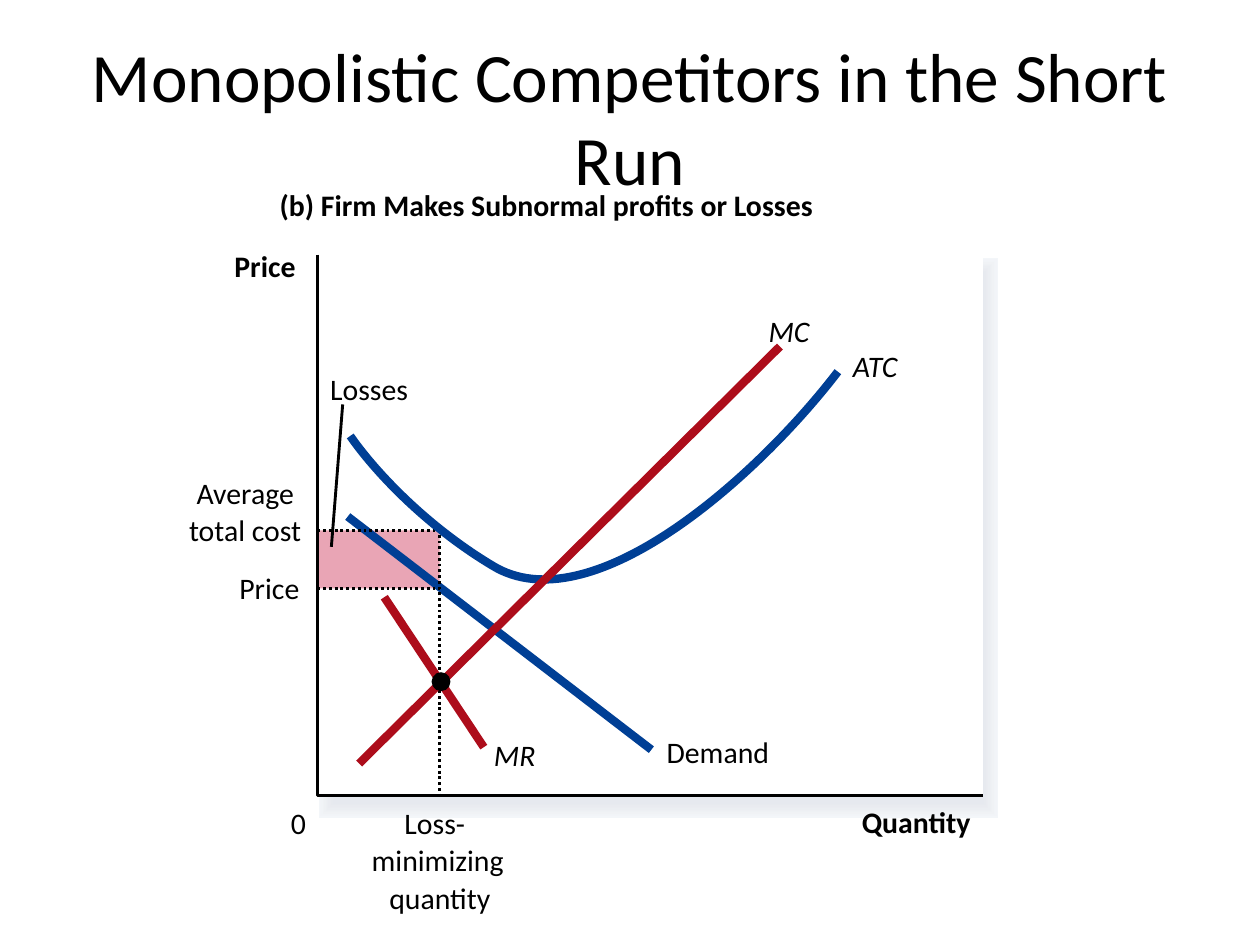
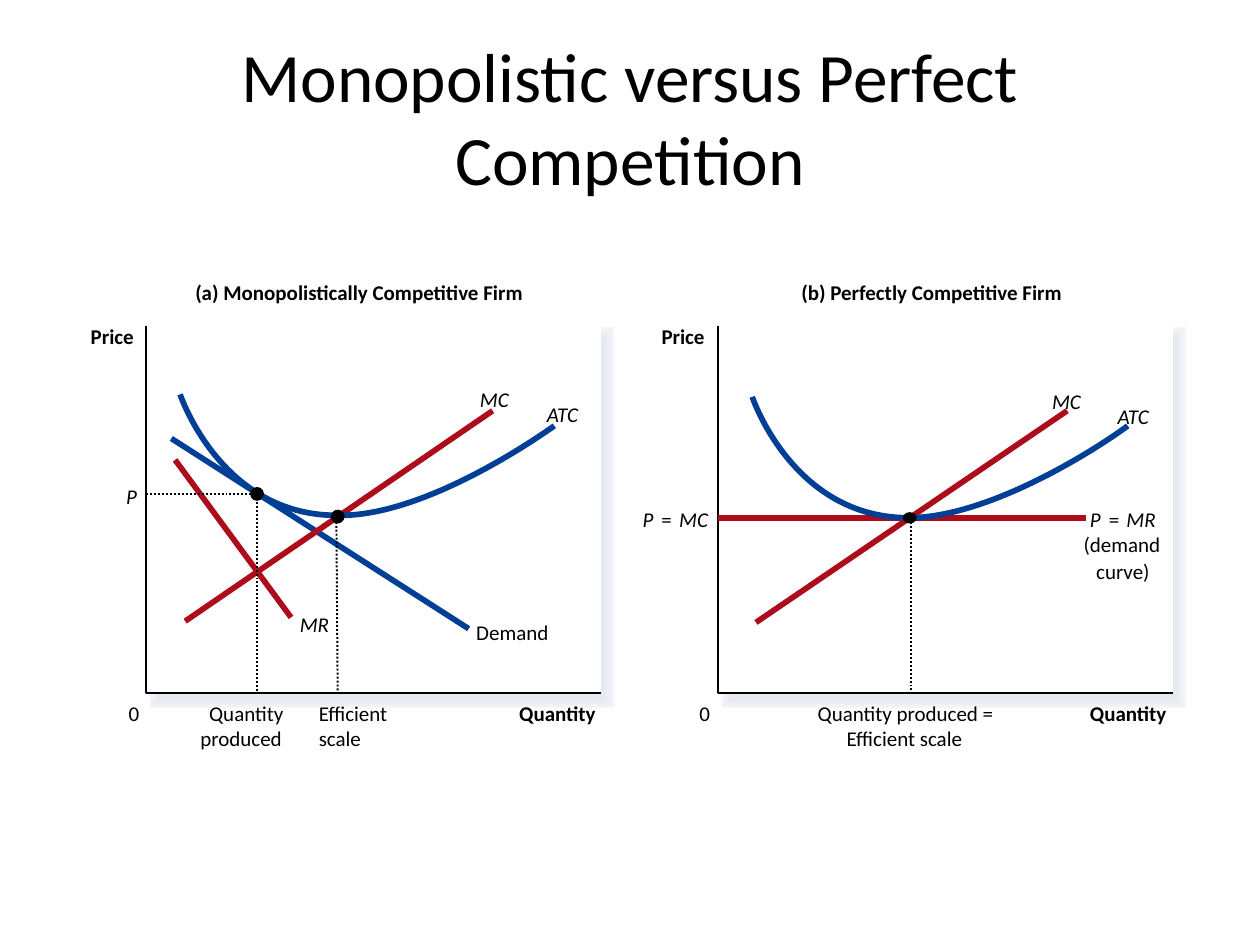
from dataclasses import dataclass

from lxml import etree
from pptx import Presentation
from pptx import util as u
from pptx.dml.color import RGBColor
from pptx.enum import dml, shapes, text
from pptx.oxml import ns

FONT = "Calibri"
COLORS = {"ink": "000000", "paper": "FFFFFF", "blue": "003F95",
          "red": "AD0D1B", "loss": "E9A5B5"}
SHADOW_TINTS = ["F3F6F9", "F2F4F8", "F1F4F7", "F0F2F5", "EEF1F4", "EDEFF3",
                "EBEEF2", "EAECF1", "E9EBF0", "E7EAEF", "E6E9EF"]


@dataclass
class GraphStyle:
    """Sizes shared by all parts of the graphs on one slide."""
    font_size: float
    label_height: float
    curve: float
    thin: float
    shadow: float


LARGE = GraphStyle(17, 0.28, 4.75, 1.63, 17.5)
SMALL = GraphStyle(12, 0.2, 3.25, 1.13, 12)


def rgb(color):
    return RGBColor.from_string(COLORS.get(color, color))


def format_font(font, size):
    font.name, font.size = FONT, u.Pt(size)
    font.color.rgb = rgb("ink")


def add_title(page, title):
    box = page.shapes.add_textbox(*map(u.Inches, (0.5, 0.3, 9, 1.25)))
    frame = box.text_frame
    frame.word_wrap = True
    frame.vertical_anchor = text.MSO_ANCHOR.MIDDLE
    frame.text = title
    para = frame.paragraphs[0]
    para.alignment = text.PP_ALIGN.CENTER
    format_font(para.runs[0].font, 39.6)


def add_labels(page, style, labels, bold=False, italic=False):
    """Add one-line labels given as (words, left, top, width)."""
    for words, left, top, width in labels:
        box = page.shapes.add_textbox(
            *map(u.Inches, (left, top, width, style.label_height)))
        frame = box.text_frame
        frame.margin_left = frame.margin_right = 0
        frame.margin_top = frame.margin_bottom = 0
        frame.word_wrap = False
        frame.auto_size = text.MSO_AUTO_SIZE.SHAPE_TO_FIT_TEXT
        frame.text = words
        font = frame.paragraphs[0].runs[0].font
        format_font(font, style.font_size)
        font.bold, font.italic = bold, italic


def style_line(line, color, width, dotted=False):
    line.color.rgb = rgb(color)
    line.width = u.Pt(width)
    if dotted:
        line.dash_style = dml.MSO_LINE.ROUND_DOT


def add_block(page, kind, left, top, width, height, fill, stroke=0):
    block = page.shapes.add_shape(kind, *map(u.Inches, (left, top, width, height)))
    block.shadow.inherit = False
    block.fill.solid()
    block.fill.fore_color.rgb = rgb(fill)
    if stroke:
        style_line(block.line, fill, stroke)
        outline = block._element.spPr.find(ns.qn("a:ln"))
        etree.SubElement(outline, ns.qn("a:miter"), lim="800000")
    else:
        block.line.fill.background()


def add_dot(page, x, y, width, height):
    add_block(page, shapes.MSO_SHAPE.OVAL, x - width / 2, y - height / 2,
              width, height, "ink")


def add_line(page, start, end, color, width, dotted=False):
    link = page.shapes.add_connector(shapes.MSO_CONNECTOR.STRAIGHT,
                                     *map(u.Inches, (*start, *end)))
    style_line(link.line, color, width, dotted)
    etree.SubElement(link._element.spPr, ns.qn("a:effectLst"))


def add_outline(page, points, color, width, dotted=False):
    start, *rest = [(u.Inches(x), u.Inches(y)) for x, y in points]
    builder = page.shapes.build_freeform(*start)
    builder.add_line_segments(rest, close=False)
    outline = builder.convert_to_shape()
    outline.shadow.inherit = False
    outline.fill.background()
    style_line(outline.line, color, width, dotted)
    return outline


def add_curve(page, style, knots):
    """Join cubic curves: a start point, then three knots for each curve."""
    outline = add_outline(page, knots, "blue", style.curve)
    segments = list(outline._element.iter(ns.qn("a:lnTo")))
    for first in range(0, len(segments), 3):
        cubic = etree.Element(ns.qn("a:cubicBezTo"))
        segments[first].addprevious(cubic)
        for segment in segments[first:first + 3]:
            cubic.append(segment[0])
            segment.getparent().remove(segment)


def add_panel(page, style, shadow, plot):
    """Soft shadow built from narrowing outlines, under a white plot area."""
    rectangle = shapes.MSO_SHAPE.RECTANGLE
    step = style.shadow / len(SHADOW_TINTS)
    for number, tint in enumerate(SHADOW_TINTS):
        add_block(page, rectangle, *shadow, tint, style.shadow - number * step)
    add_block(page, rectangle, *plot, "paper")


def add_axes(page, style, plot):
    left, top, width, height = plot
    bottom = top + height
    add_outline(page, [(left, top), (left, bottom), (left + width, bottom)],
                "ink", style.thin)


def build_losses(page):
    style = LARGE
    plot = (2.52, 2.02, 5.28, 4.29)
    add_title(page, "Monopolistic Competitors in the Short Run")
    add_panel(page, style, (2.65, 2.17, 5.15, 4.2), plot)

    # Loss area, axes and guides
    add_block(page, shapes.MSO_SHAPE.RECTANGLE, 2.52, 4.21, 0.97, 0.46, "loss")
    add_axes(page, style, plot)
    add_line(page, (2.76, 4.1), (5.17, 5.95), "blue", style.curve)
    add_line(page, (2.52, 4.67), (3.49, 4.67), "ink", style.thin, dotted=True)
    add_outline(page, [(2.52, 4.21), (3.49, 4.21), (3.49, 6.31)],
                "ink", style.thin, dotted=True)

    # Curves
    add_line(page, (3.05, 4.74), (3.84, 5.93), "red", style.curve)
    add_line(page, (2.72, 3.21), (2.63, 4.34), "ink", style.thin)
    add_curve(page, style, [(2.78, 3.46), (2.96, 3.72), (3.36, 4.16), (3.91, 4.49),
                            (4.68, 4.96), (5.99, 3.81), (6.65, 2.95)])
    add_line(page, (6.19, 2.75), (2.85, 6.06), "red", style.curve)
    add_dot(page, 3.5, 5.41, 0.15, 0.15)

    # Labels
    add_labels(page, style, [
        ("(b) Firm Makes Subnormal profits or Losses", 2.22, 1.48, 5),
        ("Quantity", 6.84, 6.38, 0.96), ("Price", 1.86, 1.97, 0.58)], bold=True)
    add_labels(page, style, [
        ("Demand", 5.29, 5.82, 0.89), ("0", 2.31, 6.39, 0.13),
        ("Price", 1.9, 4.52, 0.54), ("Losses", 2.62, 2.94, 0.75),
        ("Loss-", 3.21, 6.39, 0.58), ("minimizing", 2.95, 6.68, 1.11),
        ("quantity", 3.09, 6.98, 0.83),
        ("Average", 1.56, 3.77, 0.88), ("total cost", 1.5, 4.06, 0.95)])
    add_labels(page, style, [
        ("MR", 3.92, 5.85, 0.37), ("ATC", 6.77, 2.76, 0.47),
        ("MC", 6.1, 2.48, 0.37)], italic=True)


def add_firm_frame(page, style, plot_left, label_left):
    """Panel, axes and axis labels that both firms share."""
    plot = (plot_left, 2.59, 3.61, 2.91)
    add_panel(page, style, (plot_left + 0.11, 2.68, 3.52, 2.86), plot)
    add_axes(page, style, plot)
    add_labels(page, style, [("Quantity", label_left + 3.4, 5.56, 0.68),
                             ("Price", label_left, 2.57, 0.41)], bold=True)
    add_labels(page, style, [("0", label_left + 0.3, 5.56, 0.09)])


def build_monopolistic_firm(page, style):
    # Curves
    add_line(page, (1.36, 3.48), (3.72, 4.99), "blue", style.curve)
    add_line(page, (3.91, 3.26), (1.47, 4.93), "red", style.curve)
    add_curve(page, style, [(1.43, 3.13), (1.43, 3.13), (1.75, 4.09), (2.67, 4.09),
                            (3.34, 4.11), (4.23, 3.5), (4.4, 3.38)])
    add_line(page, (1.39, 3.65), (2.31, 4.9), "red", style.curve)

    # Guides and points
    add_line(page, (2.67, 4.11), (2.68, 5.5), "ink", style.thin, dotted=True)
    add_outline(page, [(1.16, 3.92), (2.04, 3.92), (2.04, 5.5)],
                "ink", style.thin, dotted=True)
    for x, y in [(2.68, 4.1), (2.04, 3.92)]:
        add_dot(page, x, y, 0.11, 0.11)

    # Labels
    add_labels(page, style, [
        ("(a) Monopolistically Competitive Firm", 1.55, 2.22, 2.97)], bold=True)
    add_labels(page, style, [
        ("MC", 3.81, 3.07, 0.26), ("ATC", 4.34, 3.19, 0.33),
        ("MR", 2.38, 4.85, 0.26), ("P", 1, 3.84, 0.11)], italic=True)
    add_labels(page, style, [
        ("Demand", 3.78, 4.92, 0.63),
        ("Efficient", 2.53, 5.56, 0.59), ("scale", 2.53, 5.76, 0.39),
        ("Quantity", 1.66, 5.56, 0.62), ("produced", 1.59, 5.76, 0.69)])


def add_price_equation(page, style, term, left):
    """Price equals a term, with wide gaps around the equals sign."""
    top = 4.02
    add_labels(page, style, [("P", left, top, 0.16),
                             (term, left + 0.29, top, 0.26)], italic=True)
    add_labels(page, style, [("=", left + 0.15, top, 0.14)])


def build_perfect_firm(page, style):
    # Curves
    add_line(page, (5.7, 4.11), (8.62, 4.11), "red", style.curve)
    add_line(page, (8.47, 3.26), (6, 4.94), "red", style.curve)
    add_curve(page, style, [(5.97, 3.15), (5.97, 3.15), (6.29, 4.11), (7.21, 4.11),
                            (7.88, 4.11), (8.78, 3.51), (8.95, 3.38)])

    # Guide and point
    add_line(page, (7.23, 4.11), (7.23, 5.5), "ink", style.thin, dotted=True)
    add_dot(page, 7.22, 4.11, 0.11, 0.09)

    # Labels
    add_labels(page, style, [
        ("(b) Perfectly Competitive Firm", 6.36, 2.22, 2.37)], bold=True)
    add_price_equation(page, style, "MC", 5.1)
    add_price_equation(page, style, "MR", 8.65)
    add_labels(page, style, [("MC", 8.35, 3.08, 0.26),
                             ("ATC", 8.87, 3.2, 0.33)], italic=True)
    add_labels(page, style, [
        ("(demand", 8.6, 4.22, 0.65), ("curve)", 8.7, 4.43, 0.46),
        ("Quantity produced =", 6.49, 5.56, 1.5),
        ("Efficient scale", 6.72, 5.76, 1.03)])


def build_comparison(page):
    add_title(page, "Monopolistic versus Perfect Competition")
    for plot_left, label_left in [(1.16, 0.72), (5.7, 5.25)]:
        add_firm_frame(page, SMALL, plot_left, label_left)
    build_monopolistic_firm(page, SMALL)
    build_perfect_firm(page, SMALL)


def main():
    deck = Presentation()
    deck.slide_width, deck.slide_height = u.Inches(10), u.Inches(7.5)
    for build in (build_losses, build_comparison):
        build(deck.slides.add_slide(deck.slide_layouts[6]))
    deck.save("out.pptx")


if __name__ == "__main__":
    main()
